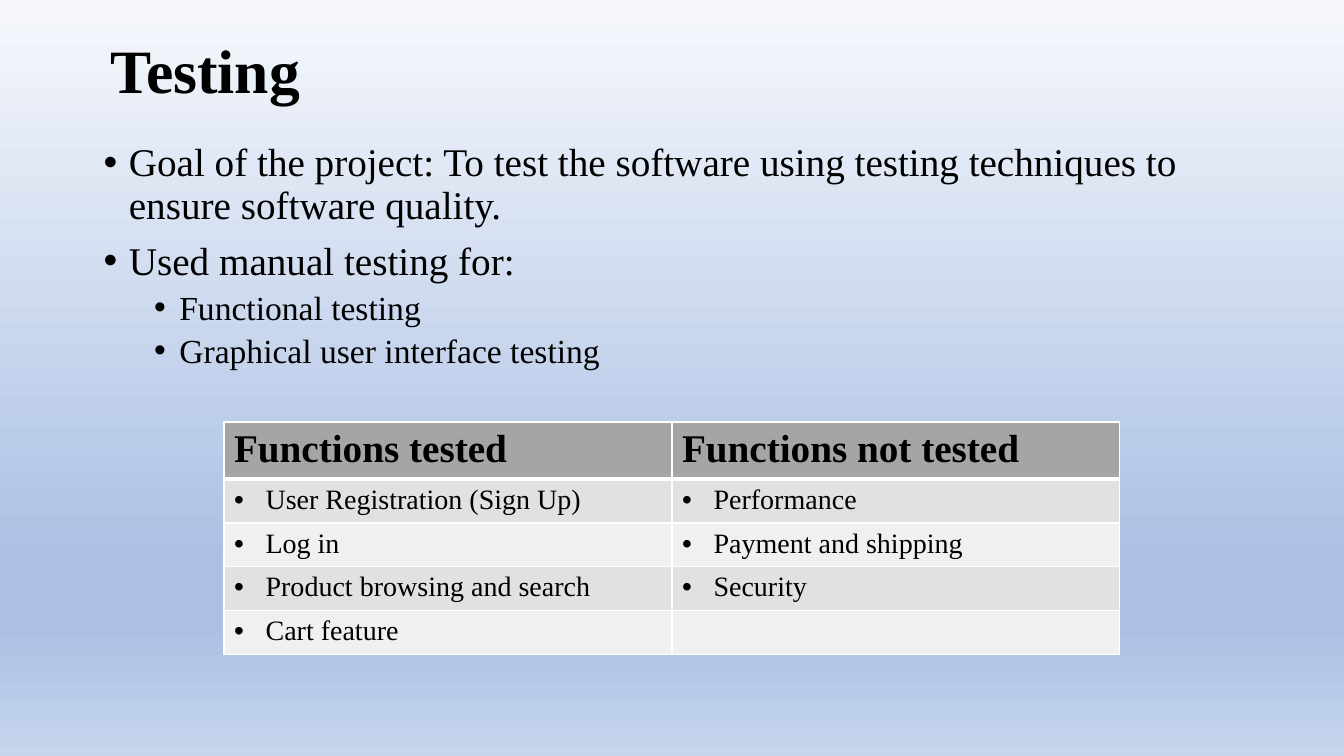
from lxml import etree
from pptx import Presentation
from pptx.dml.color import RGBColor
from pptx.enum import text
from pptx.oxml import ns
from pptx.util import Pt


def put(para, words, size, bold=False):
    run = para.add_run()
    run.text = words
    font = run.font
    font.name, font.size, font.bold = "Times New Roman", Pt(size), bold
    font.color.rgb = RGBColor.from_string("000000")


def dot(para, left, hang):
    props = para._p.get_or_add_pPr()
    props.set("marL", str(Pt(left)))
    props.set("indent", str(-Pt(hang)))
    etree.SubElement(props, ns.qn("a:buFont"), typeface="Arial")
    etree.SubElement(props, ns.qn("a:buChar"), char="•")


deck = Presentation()
deck.slide_width, deck.slide_height = Pt(960), Pt(540)
slide = deck.slides.add_slide(deck.slide_layouts[6])

back = slide.background.fill
back.gradient()
back.gradient_angle = 270
stops = next(slide.element.iter(ns.qn("a:gsLst")))
for stop in list(stops):
    stops.remove(stop)
for place, color in [(0, "F6F8FC"), (74, "ABC0E4"), (83, "ABC0E4"), (100, "C7D5ED")]:
    stop = etree.SubElement(stops, ns.qn("a:gs"), pos=str(place * 1000))
    etree.SubElement(stop, ns.qn("a:srgbClr"), val=color)

title = slide.shapes.add_textbox(Pt(72), Pt(0), Pt(756), Pt(104.4)).text_frame
title.word_wrap = True
title.vertical_anchor = text.MSO_ANCHOR.MIDDLE
title.paragraphs[0].line_spacing = 0.9
put(title.paragraphs[0], "Testing", 44, True)

body = slide.shapes.add_textbox(Pt(67), Pt(98.6), Pt(828), Pt(342.7)).text_frame
body.word_wrap = True
points = [
    (0, "Goal of the project: To test the software using testing techniques to ensure software quality."),
    (0, "Used manual testing for:"),
    (1, "Functional testing"),
    (1, "Graphical user interface testing"),
]
for num, (level, words) in enumerate(points):
    para = body.add_paragraph() if num else body.paragraphs[0]
    para.level = level
    dot(para, 18 + 36 * level, 18)
    para.line_spacing = 0.9
    para.space_before = Pt(5 if level else 10)
    put(para, words, 24 if level else 28)

rows = [
    ("Functions tested", "Functions not tested"),
    ("User Registration (Sign Up)", "Performance"),
    ("Log in", "Payment and shipping"),
    ("Product browsing and search", "Security"),
    ("Cart feature", ""),
]
table = slide.shapes.add_table(5, 2, Pt(160), Pt(301.5), Pt(640), Pt(156.5)).table
table.horz_banding = False
for row, pair in enumerate(rows):
    table.rows[row].height = Pt(29.5 if row else 38.5)
    for col, words in enumerate(pair):
        cell = table.cell(row, col)
        props = cell._tc.get_or_add_tcPr()
        for side in "LRTB":
            thick = (row, side) in [(0, "B"), (1, "T")]
            line = etree.SubElement(props, ns.qn("a:ln" + side), w=str(Pt(3 if thick else 1)))
            paint = etree.SubElement(line, ns.qn("a:solidFill"))
            etree.SubElement(paint, ns.qn("a:srgbClr"), val="FFFFFF")
        cell.fill.solid()
        shade = "A5A5A5" if row == 0 else "E1E1E1" if row % 2 else "F0F0F0"
        cell.fill.fore_color.rgb = RGBColor.from_string(shade)
        para = cell.text_frame.paragraphs[0]
        if words:
            if row:
                dot(para, 22.5, 22.5)
            put(para, words, 20 if row else 28, row == 0)

deck.save("out.pptx")
